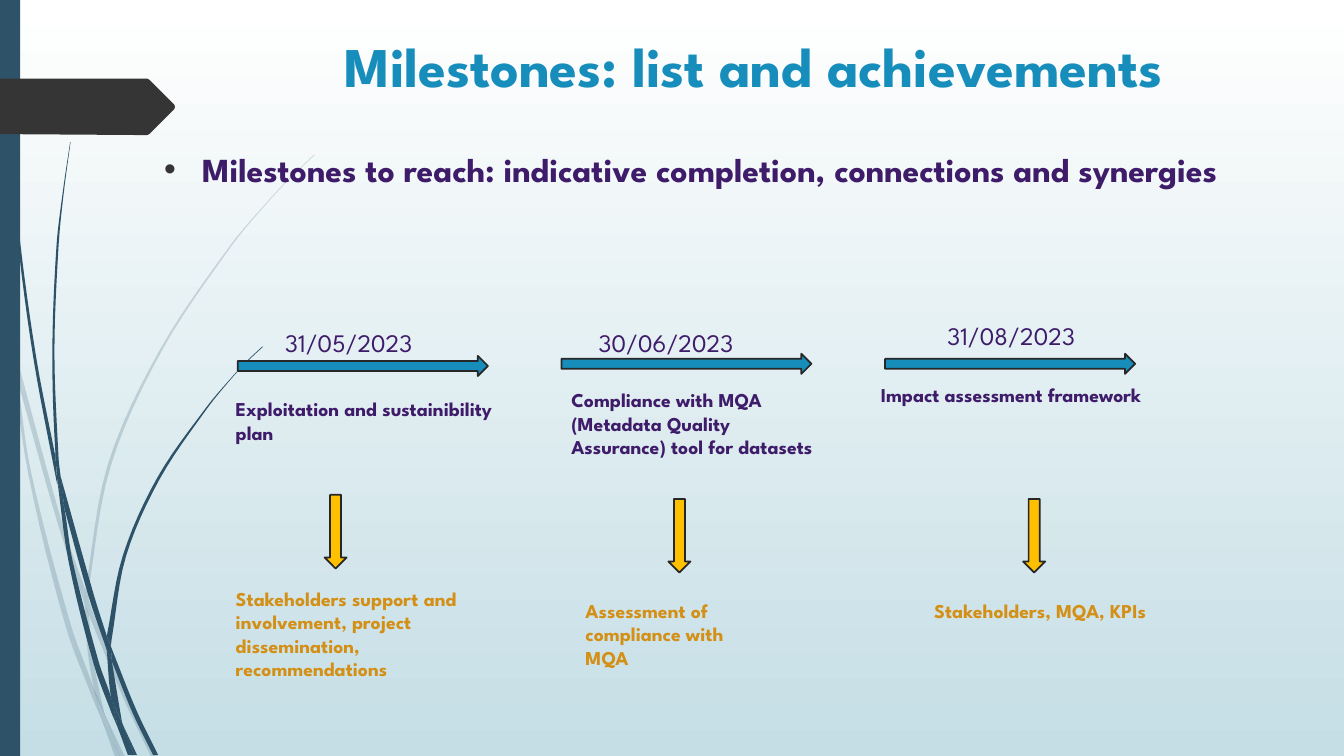
from math import dist
from lxml.etree import SubElement
from pptx import Presentation
from pptx.dml.color import RGBColor
from pptx.enum.shapes import MSO_SHAPE as Geo
from pptx.enum.text import MSO_ANCHOR as Anchor, MSO_AUTO_SIZE as Fit, PP_ALIGN as Align
from pptx.oxml.ns import qn
from pptx.util import Pt

WHITE = RGBColor(0xFF, 0xFF, 0xFF)
MIST = RGBColor(0xC5, 0xDE, 0xE5)
NAVY = RGBColor(0x2E, 0x53, 0x69)
COAL = RGBColor(0x35, 0x35, 0x35)
INK = RGBColor(0x27, 0x27, 0x27)
BLUE = RGBColor(0x17, 0x8D, 0xBB)
PLUM = RGBColor(0x3F, 0x1C, 0x6A)
GOLD = RGBColor(0xFF, 0xC0, 0x00)
OCHRE = RGBColor(0xD4, 0x90, 0x16)
FONT = "League Spartan"
STEPS = 6

PALE = [
    ([(0, 215), (7.2, 247.7), (7.9, 252)], [(6.5, 231.8), (0, 203)]),
    ([(10.1, 248.4), (44.6, 374.4), (61.2, 421.9)],
     [(60.5, 431.3), (41.8, 375.8), (12.2, 270.7)]),
    ([(63.4, 429.1), (66.2, 437), (91.4, 498.2), (111.6, 540.7)],
     [(108, 540.7), (88.6, 499.7), (63.4, 439.2)]),
    ([(75.6, 511.9), (89.3, 540.7)], [(85.7, 540.7)]),
    ([(7.9, 252), (12.2, 270.7), (22.3, 337.7), (50.4, 445.7), (67, 491.8),
      (71.3, 509), (72.7, 514.1)],
     [(66.2, 499), (46.8, 447.1), (20.2, 338.4), (7.9, 252)]),
    ([(60.5, 431.3), (63.4, 439.2), (65.5, 465.1), (74.2, 508.3), (75.6, 511.9)],
     [(69.1, 498.2), (67, 491.8), (62.6, 465.1), (60.5, 431.3)]),
    ([(63.4, 429.1), (63.4, 420.5), (79.2, 332.6), (115.2, 251.3), (164.9, 176.4),
      (193, 142.6), (208.8, 126), (224.6, 110.9)],
     [(224.6, 110.2), (208.1, 126), (193, 141.8), (164.2, 175.7), (113.8, 250.6),
      (77, 331.9), (61.2, 420.5), (61.2, 421.9)]),
    ([(72.7, 514.1), (82.1, 540.7)], [(85.7, 540.7)]),
    ([(61.2, 421.9), (63.4, 429.1)], [(63.4, 439.2), (60.5, 431.3)]),
    ([(67, 491.8), (75.6, 511.9), (85.7, 540.7)], [(72.7, 514.1), (71.3, 509)]),
]
DARK = [
    ([(2.2, 0), (2.9, 34.6), (5, 79.2), (12.2, 167.8), (23.8, 255.6),
      (40.3, 343.4), (41, 346.3)],
     [(39.6, 326.2), (25.9, 255.6), (13.7, 167), (5.8, 78.5), (3.6, 34.6), (2.9, 0)]),
    ([(43.2, 339.8), (67, 424.8), (76.3, 454.3)],
     [(76.3, 464.4), (63.4, 426.2), (46.1, 363.6)]),
    ([(79.2, 461.5), (81.4, 467.3), (97.9, 508.3), (113, 539.3)],
     [(109.4, 539.3), (95, 509.8), (79.9, 472.3)]),
    ([(41, 343.4), (46.1, 363.6), (51.8, 400.3), (70.6, 473), (79.2, 497.5),
      (83.5, 516.2), (84.2, 519.8)],
     [(79.9, 509.8), (67, 474.5), (49, 401), (41, 343.4)]),
    ([(43.2, 339.8), (41.8, 326.2), (38.9, 251.3), (41.8, 176.4), (45.4, 139),
      (50.4, 101.5)],
     [(50.1, 101.5), (44.6, 139), (40.3, 176.4), (37.4, 251.3), (39.6, 323.3),
      (43.2, 339.8)]),
    ([(87.8, 517.7), (97.9, 539.3)], [(95.8, 539.3)]),
    ([(39.6, 323.3), (43.2, 339.8), (46.1, 363.6)], [(41, 343.4), (39.6, 326.2)]),
    ([(79.2, 461.5), (79.9, 455.8), (90, 397.4), (113.8, 342.7), (147.6, 292.3),
      (166.3, 269.3), (176.4, 258.5), (187.9, 247.7)],
     [(187.2, 247.7), (176.4, 257.8), (166.3, 268.6), (146.9, 291.6),
      (112.3, 341.3), (87.8, 396.7), (76.3, 454.3)]),
    ([(84.2, 519.8), (94.3, 539.3)], [(91.4, 539.3)]),
    ([(79.9, 472.3), (87.1, 515.5), (87.8, 517.7)],
     [(83.5, 508.3), (79.2, 497.5), (76.3, 464.4)]),
    ([(76.3, 454.3), (79.2, 461.5)], [(79.9, 472.3), (76.3, 464.4)]),
    ([(79.2, 497.5), (83.5, 508.3), (87.8, 517.7), (95.8, 539.3)],
     [(93.6, 539.3), (84.2, 519.8), (83.5, 516.2)]),
]
TAG = [(0, 56.2), (105.1, 56.2), (106.6, 56.9), (124.6, 74.9), (125, 76.3),
       (124.6, 77.8), (106.6, 95.8), (105.1, 96.5), (0, 95.8)]

ARROWS = [(169.9, 254.2), (401, 252.7), (632.2, 252.7)]
DROPS = [(231.8, 353.5), (477.4, 356.4), (730.8, 356.4)]
DATES = [("31/05/2023", 196.6, 230.4), ("30/06/2023", 420.5, 230.4),
         ("31/08/2023", 669.6, 225.4)]
GOALS = [
    ("Exploitation and sustainibility\nplan", 161.3, 280.1, 213.1, 41),
    ("Compliance with MQA (Metadata Quality Assurance) tool for datasets",
     401, 273.6, 197.3, 74.9),
    ("Impact assessment framework", 622.1, 270, 249.1, 24.5),
]
LINKS = [
    ("Stakeholders support and involvement, project dissemination, recommendations",
     161.3, 415.4, 174.2, 74.9),
    ("Assessment of compliance with MQA", 411.1, 424.1, 135.4, 58.3),
    ("Stakeholders, MQA, KPIs", 660.2, 424.1, 182.9, 24.5),
]


def smooth(side):
    last = len(side) - 1
    if last < 2:
        return side
    slopes = []
    for i in range(last + 1):
        a, b = max(i - 1, 0), min(i + 1, last)
        length = sum(dist(side[j], side[j + 1]) for j in range(a, b))
        slopes.append([(q - p) / length for p, q in zip(side[a], side[b])])
    dots = [side[0]]
    for p, q, m, n in zip(side, side[1:], slopes, slopes[1:]):
        gap = dist(p, q)
        for step in range(1, STEPS + 1):
            t = step / STEPS
            ease = t * t * (3 - 2 * t)
            out, into = gap * t * (1 - t) ** 2, gap * t * t * (t - 1)
            dots.append(tuple(p[k] + (q[k] - p[k]) * ease + m[k] * out + n[k] * into
                              for k in (0, 1)))
    return dots


def paint(shape, color, edge=None):
    shape.shadow.inherit = False
    shape.fill.solid()
    shape.fill.fore_color.rgb = color
    if edge is None:
        shape.line.fill.background()
    else:
        shape.line.color.rgb = edge
        shape.line.width = Pt(1.25)


def add_free(slide, dots, color, alpha=None):
    dots = [(Pt(x), Pt(y)) for x, y in dots]
    pen = slide.shapes.build_freeform(*dots[0])
    pen.add_line_segments(dots[1:], close=True)
    shape = pen.convert_to_shape()
    paint(shape, color)
    if alpha:
        tint = shape.fill._xPr.find(".//" + qn("a:srgbClr"))
        SubElement(tint, qn("a:alpha")).set("val", str(alpha * 1000))


def add_geo(slide, kind, box, color, edge=None):
    paint(slide.shapes.add_shape(kind, *map(Pt, box)), color, edge)


def add_text(slide, text, box, size, color, bold=True, fit=Fit.SHAPE_TO_FIT_TEXT):
    frame = slide.shapes.add_textbox(*map(Pt, box)).text_frame
    frame.word_wrap = True
    frame.auto_size = fit
    frame.vertical_anchor = Anchor.TOP
    frame.text = text
    for para in frame.paragraphs:
        for run in para.runs:
            font = run.font
            font.name, font.size, font.bold = FONT, Pt(size), bold
            font.color.rgb = color
    return frame.paragraphs[0]


def add_bullet(para, color):
    para.space_before = Pt(10)
    props = para._p.get_or_add_pPr()
    props.set("marL", str(Pt(27)))
    props.set("indent", str(-Pt(27)))
    tint = SubElement(props, qn("a:buClr"))
    SubElement(tint, qn("a:srgbClr")).set("val", str(color))
    SubElement(props, qn("a:buFont")).set("typeface", "Arial")
    SubElement(props, qn("a:buChar")).set("char", "•")


def add_back(slide):
    fill = slide.background.fill
    fill.gradient()
    fill.gradient_angle = 270
    for stop, place, color in zip(fill.gradient_stops, (0, 1), (WHITE, MIST)):
        stop.position = place
        stop.color.rgb = color
    for stems, alpha in ((PALE, 20), (DARK, None)):
        for left, right in stems:
            add_free(slide, smooth(left) + smooth(right), NAVY, alpha)
    add_geo(slide, Geo.RECTANGLE, (0, 0, 14.4, 540), NAVY)
    add_free(slide, TAG, COAL)


def main():
    deck = Presentation()
    deck.slide_width, deck.slide_height = Pt(960), Pt(540)
    slide = deck.slides.add_slide(deck.slide_layouts[6])
    add_back(slide)
    title = add_text(slide, "Milestones: list and achievements",
                     (187.2, 18.7, 702, 72), 40, BLUE, fit=Fit.NONE)
    title.alignment = Align.CENTER
    lead = add_text(
        slide, "Milestones to reach: indicative completion, connections and synergies",
        (110.2, 103, 833.8, 375.8), 24, PLUM, fit=Fit.NONE)
    add_bullet(lead, COAL)
    for x, y in ARROWS:
        add_geo(slide, Geo.RIGHT_ARROW, (x, y, 178.6, 14.4), BLUE, INK)
    for x, y in DROPS:
        add_geo(slide, Geo.DOWN_ARROW, (x, y, 15.8, 52.6), GOLD, INK)
    for text, x, y in DATES:
        add_text(slide, text, (x, y, 173.5, 28.8), 18, PLUM, bold=False)
    for notes, color in ((GOALS, PLUM), (LINKS, OCHRE)):
        for text, *box in notes:
            add_text(slide, text, box, 14, color)
    deck.save("out.pptx")


if __name__ == "__main__":
    main()
